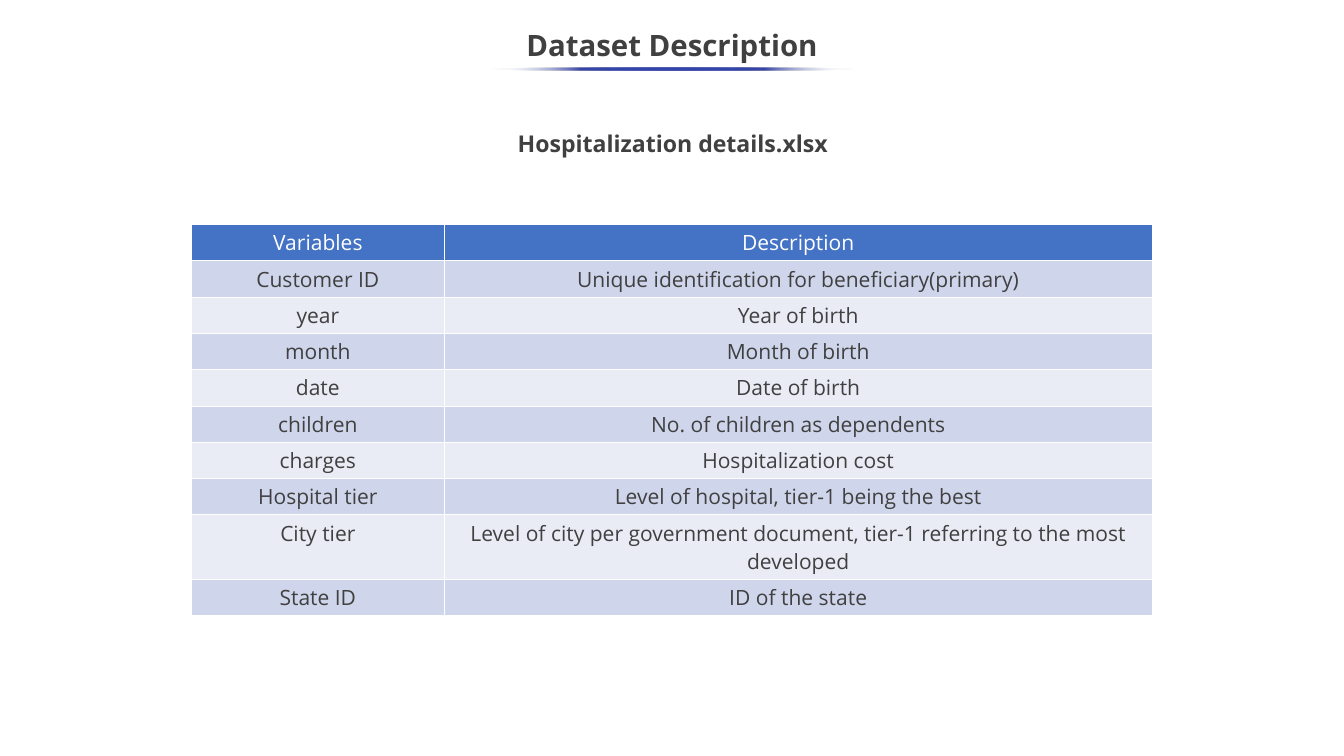
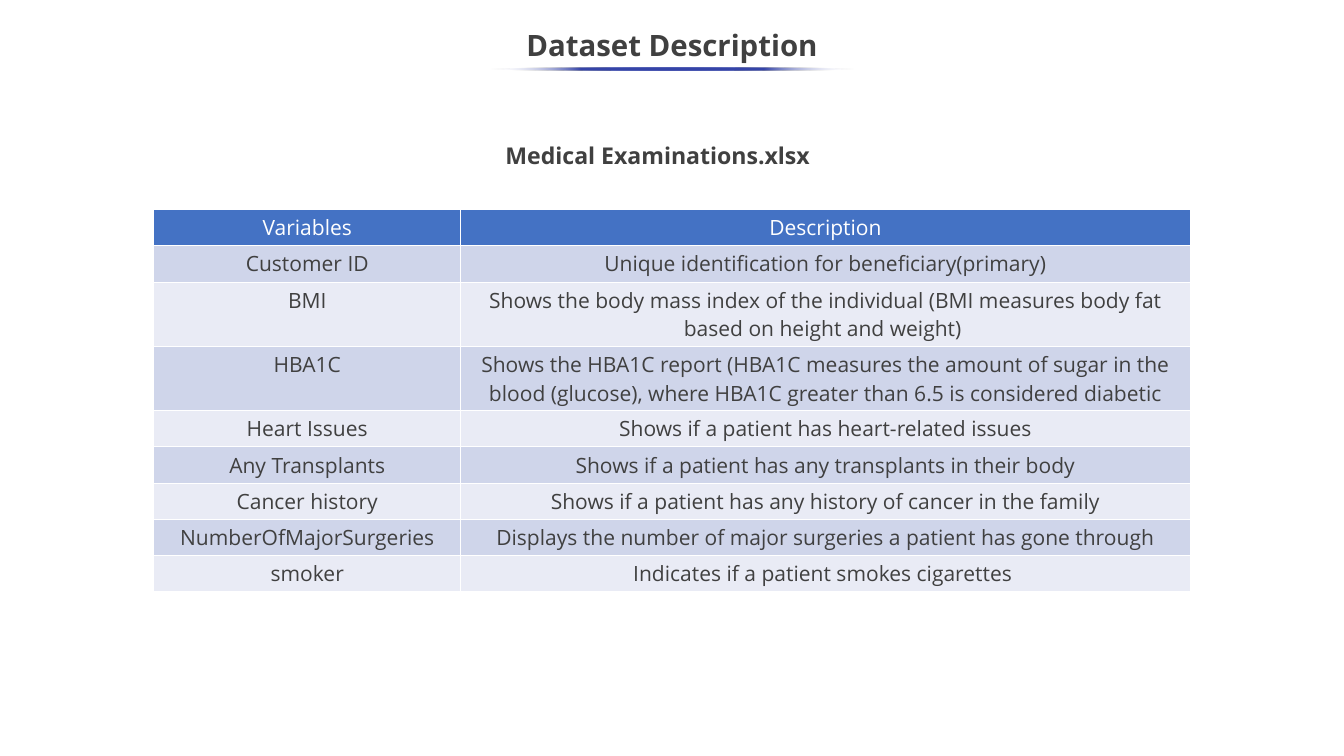
from lxml import etree
from pptx import Presentation
from pptx import util as u
from pptx.dml.color import RGBColor
from pptx.enum import shapes, text
from pptx.oxml import ns

Inches = u.Inches

FONT = "Open Sans"
INK = RGBColor(0x40, 0x40, 0x40)
WHITE = RGBColor(0xFF, 0xFF, 0xFF)
ACCENT = RGBColor(0x36, 0x45, 0xA9)
HEADER = RGBColor(0x44, 0x72, 0xC4)
BANDS = (RGBColor(0xCF, 0xD5, 0xEA), RGBColor(0xE9, 0xEB, 0xF5))

SLIDE_WIDTH, SLIDE_HEIGHT = 17.78, 10
ROW_HEIGHT, TWO_LINE_ROW_HEIGHT = 0.48, 0.85
LINE_CAPACITY = 70
RULE_STOPS = ((0, WHITE, 0), (25, ACCENT, 100), (50, ACCENT, 100),
              (75, ACCENT, 100), (100, WHITE, 0))
BORDER_SIDES = ("lnL", "lnR", "lnT", "lnB")
COLUMN_TITLES = ("Variables", "Description")

HOSPITALIZATION = (
    ("Customer ID", "Unique identification for beneficiary(primary)"),
    ("year", "Year of birth"),
    ("month", "Month of birth"),
    ("date", "Date of birth"),
    ("children", "No. of children as dependents"),
    ("charges", "Hospitalization cost"),
    ("Hospital tier", "Level of hospital, tier-1 being the best"),
    ("City tier", "Level of city per government document, tier-1 referring to the most developed"),
    ("State ID", "ID of the state"),
)
EXAMINATIONS = (
    ("Customer ID", "Unique identification for beneficiary(primary)"),
    ("BMI", "Shows the body mass index of the individual (BMI measures body fat "
            "based on height and weight) "),
    ("HBA1C", "Shows the HBA1C report (HBA1C measures the amount of sugar in the "
              "blood (glucose), where HBA1C greater than 6.5 is considered diabetic"),
    ("Heart Issues", "Shows if a patient has heart-related issues"),
    ("Any Transplants", "Shows if a patient has any transplants in their body"),
    ("Cancer history", "Shows if a patient has any history of cancer in the family"),
    ("NumberOfMajorSurgeries", "Displays the number of major surgeries a patient has gone through"),
    ("smoker", "Indicates if a patient smokes cigarettes "),
)


def add_element(parent, tag, **attributes):
    element = etree.SubElement(parent, ns.qn(tag))
    for name, value in attributes.items():
        element.set(name, str(value))
    return element


def write_text(frame, words, size, color=INK, bold=False, spacing=None):
    paragraph = frame.paragraphs[0]
    paragraph.alignment = text.PP_ALIGN.CENTER
    if spacing:
        paragraph.line_spacing = spacing
    run = paragraph.add_run()
    run.text = words
    run.font.name = FONT
    run.font.size = u.Pt(size)
    run.font.bold = bold
    run.font.color.rgb = color


def format_title(slide, words):
    title = slide.shapes.title
    title.left, title.top = Inches(-0.01), Inches(0.25)
    title.width, title.height = Inches(17.8), Inches(0.75)
    frame = title.text_frame
    frame.auto_size = text.MSO_AUTO_SIZE.NONE
    frame.vertical_anchor = text.MSO_ANCHOR.MIDDLE
    write_text(frame, words, 28, bold=True, spacing=0.9)


def add_title_rule(slide):
    rule = slide.shapes.add_shape(shapes.MSO_SHAPE.OVAL, Inches(6.49), Inches(0.89),
                                  Inches(4.81), Inches(0.04))
    rule.shadow.inherit = False
    rule.line.fill.background()
    rule.fill.gradient()
    rule.fill.gradient_angle = 180
    stops = rule.fill.gradient_stops[0]._gs.getparent()
    for stop in list(stops):
        stops.remove(stop)
    for position, color, opacity in RULE_STOPS:
        stop = add_element(stops, "a:gs", pos=position * 1000)
        fill = add_element(stop, "a:srgbClr", val=color)
        if opacity < 100:
            add_element(fill, "a:alpha", val=opacity * 1000)


def add_caption(slide, words, left, top, width, height, inset=0.05, spacing=None):
    box = slide.shapes.add_textbox(Inches(left), Inches(top), Inches(width), Inches(height))
    frame = box.text_frame
    frame.word_wrap = True
    frame.margin_top = frame.margin_bottom = Inches(inset)
    write_text(frame, words, 22, bold=True, spacing=spacing)


def add_borders(cell):
    properties = cell._tc.get_or_add_tcPr()
    for side in BORDER_SIDES:
        line = add_element(properties, "a:" + side, w=u.Pt(1))
        fill = add_element(line, "a:solidFill")
        add_element(fill, "a:srgbClr", val=WHITE)


def fill_cell(cell, words, fill, color):
    add_borders(cell)
    cell.fill.solid()
    cell.fill.fore_color.rgb = fill
    write_text(cell.text_frame, words, 20, color)


def row_height(row):
    return TWO_LINE_ROW_HEIGHT if len(row[-1]) > LINE_CAPACITY else ROW_HEIGHT


def add_variable_table(slide, variables, top, widths):
    rows = (COLUMN_TITLES,) + variables
    heights = [row_height(row) for row in rows]
    width = sum(widths)
    left = (SLIDE_WIDTH - width) / 2
    table = slide.shapes.add_table(len(rows), len(widths), Inches(left), Inches(top),
                                   Inches(width), Inches(sum(heights))).table
    for column, column_width in zip(table.columns, widths):
        column.width = Inches(column_width)
    for row_index, row in enumerate(rows):
        table.rows[row_index].height = Inches(heights[row_index])
        fill, color = (BANDS[(row_index - 1) % 2], INK) if row_index else (HEADER, WHITE)
        for column_index, words in enumerate(row):
            fill_cell(table.cell(row_index, column_index), words, fill, color)


def add_dataset_slide(presentation):
    slide = presentation.slides.add_slide(presentation.slide_layouts[5])
    slide.background.fill.solid()
    slide.background.fill.fore_color.rgb = WHITE
    format_title(slide, "Dataset Description")
    add_title_rule(slide)
    return slide


def main():
    presentation = Presentation()
    presentation.slide_width = Inches(SLIDE_WIDTH)
    presentation.slide_height = Inches(SLIDE_HEIGHT)

    slide = add_dataset_slide(presentation)
    add_caption(slide, "Hospitalization details.xlsx", 1.41, 1.66, 14.98, 0.99,
                inset=0, spacing=1.15)
    add_variable_table(slide, HOSPITALIZATION, 2.97, (3.34, 9.37))

    slide = add_dataset_slide(presentation)
    add_caption(slide, "Medical Examinations.xlsx", 5.8, 1.82, 5.8, 0.47)
    add_variable_table(slide, EXAMINATIONS, 2.77, (4.06, 9.65))

    presentation.save("out.pptx")


if __name__ == "__main__":
    main()
